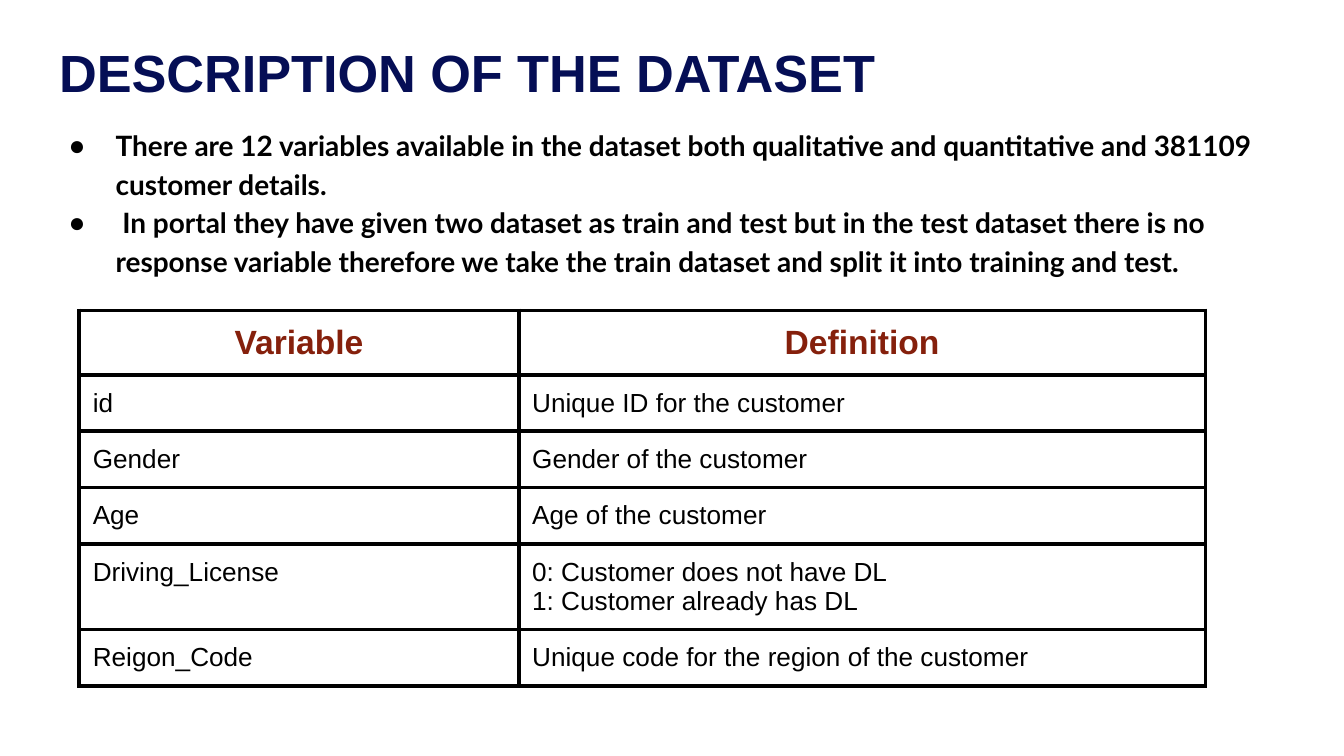
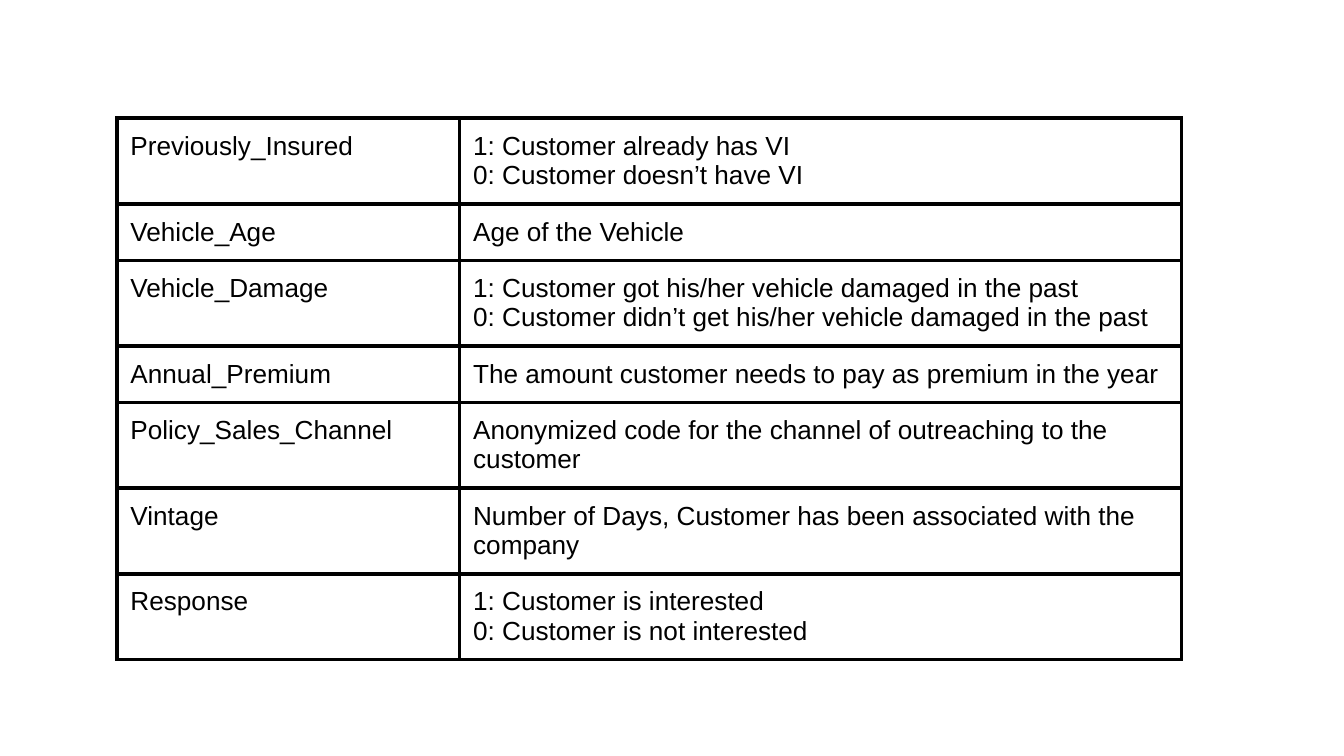
import dataclasses

import pptx
import pptx.dml.color
import pptx.enum.text
import pptx.oxml
import pptx.oxml.ns
import pptx.util

Align = pptx.enum.text.PP_ALIGN
Pt = pptx.util.Pt


@dataclasses.dataclass(frozen=True)
class Theme:
    navy: str = "050E55"
    red: str = "85200C"
    black: str = "000000"
    sans: str = "Arial"
    lato: str = "Lato"
    title: int = 28
    head: int = 18
    list: int = 15
    cell: int = 14
    rule: float = 2.25
    lead: float = 1.15


THEME = Theme()
COLS, ROWS = 100, 56.25
TITLE = "DESCRIPTION OF THE DATASET"
POINTS = [
    "There are 12 variables available in the dataset both qualitative and "
    "quantitative and 381109 customer details.",
    " In portal they have given two dataset as train and test but in the test "
    "dataset there is no response variable therefore we take the train dataset "
    "and split it into training and test.",
]
HEAD = ("Variable", "Definition")
BASICS = [
    ("id", "Unique ID for the customer"),
    ("Gender", "Gender of the customer"),
    ("Age", "Age of the customer"),
    ("Driving_License", "0: Customer does not have DL\n1: Customer already has DL"),
    ("Reigon_Code", "Unique code for the region of the customer"),
]
POLICY = [
    ("Previously_Insured", "1: Customer already has VI\n0: Customer doesn’t have VI"),
    ("Vehicle_Age", "Age of the Vehicle"),
    ("Vehicle_Damage", "1: Customer got his/her vehicle damaged in the past\n"
     "0: Customer didn’t get his/her vehicle damaged in the past"),
    ("Annual_Premium", "The amount customer needs to pay as premium in the year"),
    ("Policy_Sales_Channel",
     "Anonymized code for the channel of outreaching to the customer"),
    ("Vintage", "Number of Days, Customer has been associated with the company"),
    ("Response", "1: Customer is interested\n0: Customer is not interested"),
]


def grid(units):
    return pptx.util.Inches(units / 10)


def style(frame, font, size, color, bold=False, align=Align.LEFT):
    for para in frame.paragraphs:
        para.alignment = align
        for run in para.runs:
            run.font.name = font
            run.font.size = Pt(size)
            run.font.bold = bold
            run.font.color.rgb = pptx.dml.color.RGBColor.from_string(color)


def pad(box, top=1):
    box.margin_left = box.margin_right = box.margin_bottom = grid(1)
    box.margin_top = grid(top)


def place(shape, text, area, top=1):
    shape.left, shape.top, shape.width, shape.height = map(grid, area)
    frame = shape.text_frame
    frame.text = text
    frame.word_wrap = True
    frame.auto_size = pptx.enum.text.MSO_AUTO_SIZE.NONE
    frame.vertical_anchor = pptx.enum.text.MSO_ANCHOR.TOP
    pad(frame, top)
    return frame


def markup(tag, inner, attrs=""):
    space = pptx.oxml.ns.nsdecls("a")
    return pptx.oxml.parse_xml(f"<a:{tag} {space} {attrs}>{inner}</a:{tag}>")


def paint(color):
    return f'<a:srgbClr val="{color}"/>'


def add_title(slide):
    frame = place(slide.shapes.title, TITLE, (3.4, 2, 93.2, 6.3))
    style(frame, THEME.sans, THEME.title, THEME.navy, True)


def add_list(slide):
    frame = place(slide.placeholders[1], "\n".join(POINTS), (2.6, 6.4, 94.8, 46), 2.8)
    style(frame, THEME.lato, THEME.list, THEME.black, True)
    for para in frame.paragraphs:
        para.line_spacing = THEME.lead
        para.space_before = para.space_after = Pt(0)
        props = para._p.get_or_add_pPr()
        props.set("marL", str(grid(5)))
        props.set("indent", str(grid(-3.5)))
        props.append(markup("buClr", paint(THEME.black)))
        props.append(markup("buChar", "", 'char="●"'))


def frame_cell(cell):
    props = cell._tc.get_or_add_tcPr()
    for side in "LRTB":
        fill = f"<a:solidFill>{paint(THEME.black)}</a:solidFill>"
        props.append(markup(f"ln{side}", fill, f'w="{Pt(THEME.rule)}"'))
    cell.fill.background()


def add_table(slide, left, top, widths, heights, data, head=False):
    shape = slide.shapes.add_table(
        len(data), len(widths), grid(left), grid(top),
        grid(sum(widths)), grid(sum(heights)))
    table = shape.table
    table.first_row = table.horz_banding = False
    for col, width in zip(table.columns, widths):
        col.width = grid(width)
    for r, (row, height, texts) in enumerate(zip(table.rows, heights, data)):
        row.height = grid(height)
        for cell, text in zip(row.cells, texts):
            cell.text_frame.text = text
            pad(cell)
            frame_cell(cell)
            if head and r == 0:
                style(cell.text_frame, THEME.sans, THEME.head, THEME.red, True,
                      Align.CENTER)
            else:
                style(cell.text_frame, THEME.sans, THEME.cell, THEME.black)


def main():
    deck = pptx.Presentation()
    deck.slide_width, deck.slide_height = grid(COLS), grid(ROWS)

    intro = deck.slides.add_slide(deck.slide_layouts[1])
    add_title(intro)
    add_list(intro)
    add_table(intro, 5.9, 23.1, (32.7, 51.1), [3.4] * 4 + [5.3, 3.4],
              [HEAD] + BASICS, head=True)

    more = deck.slides.add_slide(deck.slide_layouts[6])
    add_table(more, 8.7, 8.8, (25.5, 53.7), [4.2] * len(POLICY), POLICY)

    deck.save("out.pptx")


if __name__ == "__main__":
    main()
